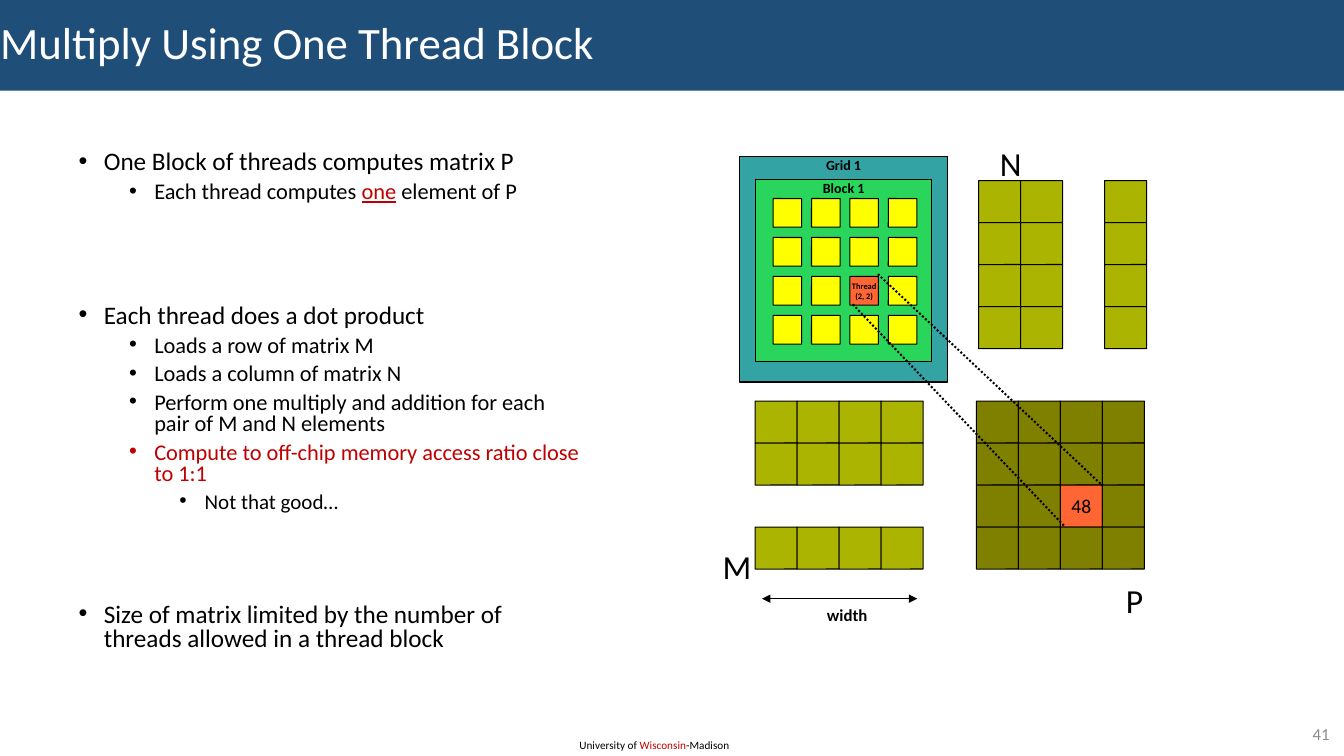
from dataclasses import dataclass

import pptx
import pptx.dml.color
import pptx.enum.dml
import pptx.enum.shapes
import pptx.enum.text
import pptx.oxml
import pptx.oxml.ns
import pptx.util

RGBColor = pptx.dml.color.RGBColor
Align = pptx.enum.text.PP_ALIGN
Anchor = pptx.enum.text.MSO_ANCHOR

BLACK = RGBColor(0x00, 0x00, 0x00)
WHITE = RGBColor(0xFF, 0xFF, 0xFF)
NAVY = RGBColor(0x1F, 0x4E, 0x79)
RED = RGBColor(0xC0, 0x00, 0x00)
GREY = RGBColor(0x8C, 0x8C, 0x8C)
TEAL = RGBColor(0x33, 0xA3, 0xA3)
GREEN = RGBColor(0x23, 0xFF, 0x23)
LIME = RGBColor(0xAB, 0xB4, 0x00)
OLIVE = RGBColor(0x80, 0x80, 0x00)
YELLOW = RGBColor(0xFF, 0xFF, 0x00)
ORANGE = RGBColor(0xFF, 0x66, 0x33)

FONT = "Calibri"
SLIDE_WIDTH = pptx.util.Inches(13.33)
SLIDE_HEIGHT = pptx.util.Inches(7.5)
COLUMN = SLIDE_WIDTH / 160
ROW = SLIDE_HEIGHT / 90
ALL = (0, 1, 2, 3)


@dataclass(frozen=True)
class Box:
    """Left, top, width and height in slide columns and rows."""
    left: float
    top: float
    width: float
    height: float

    def emu(self) -> tuple[int, int, int, int]:
        return (round(self.left * COLUMN), round(self.top * ROW),
                round(self.width * COLUMN), round(self.height * ROW))


@dataclass(frozen=True)
class Span:
    text: str
    size: float
    color: RGBColor = BLACK
    bold: bool = False
    underline: bool = False


@dataclass(frozen=True)
class Bullet:
    level: int
    spans: tuple[Span, ...]
    space_before: float


@dataclass(frozen=True)
class Matrix:
    left: float
    top: float
    fill: RGBColor
    rows: tuple[int, ...] = ALL
    columns: tuple[int, ...] = ALL
    pitch_x: float = 5
    pitch_y: float = 5
    size: float = 5
    marked: tuple[Span, ...] = ()


@dataclass(frozen=True)
class Label:
    box: Box
    spans: tuple[Span, ...]
    align: Align = Align.LEFT
    anchor: Anchor = Anchor.TOP
    inset: float = 0


@dataclass(frozen=True)
class Line:
    start: tuple[float, float]
    end: tuple[float, float]
    width: float
    dotted: bool = False


BULLETS = (
    Bullet(0, (Span("One Block of threads computes matrix P", 18),), 0),
    Bullet(1, (Span("Each thread computes ", 16), Span("one", 16, RED, underline=True),
               Span(" element of P", 16)), 5),
    Bullet(0, (Span("Each thread does a dot product", 18),), 72),
    Bullet(1, (Span("Loads a row of matrix M", 16),), 5),
    Bullet(1, (Span("Loads a column of matrix N", 16),), 5),
    Bullet(1, (Span("Perform one multiply and addition for each pair of M and N elements", 16),), 5),
    Bullet(1, (Span("Compute to off-chip memory access ratio close to 1:1", 16, RED),), 5),
    Bullet(2, (Span("Not that good…", 15),), 5),
    Bullet(0, (Span("Size of matrix limited by the number of threads allowed in a thread block", 18),), 65),
)
MATRICES = (
    Matrix(89.9, 47.75, LIME, rows=(0, 1, 3)),
    Matrix(116.5, 21.5, LIME, columns=(0, 1, 3)),
    Matrix(116.25, 47.75, OLIVE, marked=(Span("48", 14),)),
    Matrix(92.04, 23.64, YELLOW, pitch_x=4.57, pitch_y=4.64, size=3.4,
           marked=(Span("Thread", 6, bold=True), Span("(2, 2)", 6, bold=True))),
)
LINES = (
    Line((101.52, 36.24), (126.72, 62.64), 1.45, dotted=True),
    Line((104.52, 32.64), (131.28, 57.84), 1.45, dotted=True),
    Line((90.72, 71.28), (109.2, 71.28), 0.75),
)
LABELS = (
    Label(Box(67.8, 87.36, 20.64, 2.88),
          (Span("University of ", 8), Span("Wisconsin", 8, RED), Span("-Madison", 8)), inset=0.1),
    Label(Box(150.36, 85.56, 9.12, 3.48), (Span("41", 12, GREY),), Align.RIGHT, Anchor.MIDDLE, 0.1),
    Label(Box(93.96, 72, 13.8, 2.4), (Span("width", 12, bold=True),), Align.CENTER),
    Label(Box(86.04, 65.04, 4.8, 4.8), (Span("M", 24),)),
    Label(Box(134.04, 69, 2.76, 4.8), (Span("P", 24),)),
    Label(Box(119.04, 17.04, 4.2, 4.8), (Span("N", 24),)),
)


def place(shape, box: Box) -> None:
    shape.left, shape.top, shape.width, shape.height = box.emu()


def add_spans(paragraph, spans: tuple[Span, ...]) -> None:
    for span in spans:
        run = paragraph.add_run()
        run.text = span.text
        run.font.name = FONT
        run.font.size = pptx.util.Pt(span.size)
        run.font.bold = span.bold
        run.font.underline = span.underline
        run.font.color.rgb = span.color


def set_frame(frame, anchor: Anchor, side: float = 0, top: float = 0) -> None:
    frame.word_wrap = True
    frame.auto_size = pptx.enum.text.MSO_AUTO_SIZE.NONE
    frame.vertical_anchor = anchor
    frame.margin_left = frame.margin_right = pptx.util.Inches(side)
    frame.margin_top = frame.margin_bottom = pptx.util.Inches(top)


def add_block(slide, box: Box, fill: RGBColor, rounding: float, lines: tuple[Span, ...] = (),
              anchor: Anchor = Anchor.MIDDLE):
    """Add an outlined block with one centred paragraph for each span."""
    shape = slide.shapes.add_shape(pptx.enum.shapes.MSO_SHAPE.ROUNDED_RECTANGLE, *box.emu())
    shape.adjustments[0] = rounding
    shape.shadow.inherit = False
    shape.fill.solid()
    shape.fill.fore_color.rgb = fill
    shape.line.color.rgb = BLACK
    shape.line.width = pptx.util.Pt(0.75)
    set_frame(shape.text_frame, anchor)
    for index, span in enumerate(lines):
        paragraph = shape.text_frame.add_paragraph() if index else shape.text_frame.paragraphs[0]
        paragraph.alignment = Align.CENTER
        add_spans(paragraph, (span,))
    return shape


def add_matrix(slide, matrix: Matrix) -> None:
    """Draw the cells, with the one at (2, 2) highlighted if it has a label."""
    for row in matrix.rows:
        for column in matrix.columns:
            marked = bool(matrix.marked) and (row, column) == (2, 2)
            box = Box(matrix.left + column * matrix.pitch_x, matrix.top + row * matrix.pitch_y,
                      matrix.size, matrix.size)
            add_block(slide, box, ORANGE if marked else matrix.fill, 0.005,
                      matrix.marked if marked else ())


def add_line(slide, line: Line) -> None:
    """Draw a dotted projection line or a double-headed arrow."""
    ends = [round(value * unit) for point in (line.start, line.end)
            for value, unit in zip(point, (COLUMN, ROW))]
    connector = slide.shapes.add_connector(pptx.enum.shapes.MSO_CONNECTOR.STRAIGHT, *ends)
    connector.line.color.rgb = BLACK
    connector.line.width = pptx.util.Pt(line.width)
    properties = connector._element.spPr
    if line.dotted:
        connector.line.dash_style = pptx.enum.dml.MSO_LINE.ROUND_DOT
    else:
        for tag in ("a:headEnd", "a:tailEnd"):
            end = pptx.oxml.parse_xml(f'<{tag} {pptx.oxml.ns.nsdecls("a")} type="triangle"/>')
            properties.find(pptx.oxml.ns.qn("a:ln")).append(end)
    properties.append(pptx.oxml.parse_xml(f'<a:effectLst {pptx.oxml.ns.nsdecls("a")}/>'))


def add_label(slide, label: Label) -> None:
    frame = slide.shapes.add_textbox(*label.box.emu()).text_frame
    set_frame(frame, label.anchor, label.inset, label.inset / 2)
    frame.paragraphs[0].alignment = label.align
    add_spans(frame.paragraphs[0], label.spans)


def fill_title(title) -> None:
    place(title, Box(0, 0, 160, 10.8))
    title.fill.solid()
    title.fill.fore_color.rgb = NAVY
    set_frame(title.text_frame, Anchor.MIDDLE)
    paragraph = title.text_frame.paragraphs[0]
    paragraph.alignment = Align.LEFT
    paragraph.line_spacing = 0.9
    add_spans(paragraph, (Span("Multiply Using One Thread Block", 32, WHITE),))


def fill_body(body) -> None:
    place(body, Box(8.16, 17.4, 62.04, 66))
    set_frame(body.text_frame, Anchor.TOP, 0.1, 0.05)
    for index, bullet in enumerate(BULLETS):
        paragraph = body.text_frame.add_paragraph() if index else body.text_frame.paragraphs[0]
        paragraph.level = bullet.level
        properties = paragraph._p.get_or_add_pPr()
        properties.set("marL", str(pptx.util.Inches(0.25 + 0.5 * bullet.level)))
        properties.set("indent", str(pptx.util.Inches(-0.25)))
        for tag in ('buFont typeface="Arial"', 'buChar char="•"'):
            name, attribute = tag.split(" ")
            properties.append(pptx.oxml.parse_xml(
                f'<a:{name} {pptx.oxml.ns.nsdecls("a")} {attribute}/>'))
        paragraph.line_spacing = 0.8
        paragraph.space_before = pptx.util.Pt(bullet.space_before)
        add_spans(paragraph, bullet.spans)


def main() -> None:
    presentation = pptx.Presentation()
    presentation.slide_width, presentation.slide_height = SLIDE_WIDTH, SLIDE_HEIGHT
    slide = presentation.slides.add_slide(presentation.slide_layouts[1])
    fill_title(slide.shapes.title)
    fill_body(slide.placeholders[1])

    add_block(slide, Box(88, 18.6, 24.84, 26.88), TEAL, 0, (Span("Grid 1", 10, bold=True),), Anchor.TOP)
    block = add_block(slide, Box(90, 21.36, 20.88, 21.72), GREEN, 0,
                      (Span("Block 1", 10, bold=True),), Anchor.TOP)
    block_color = block._element.spPr.find(".//" + pptx.oxml.ns.qn("a:srgbClr"))
    block_color.append(pptx.oxml.parse_xml(f'<a:alpha {pptx.oxml.ns.nsdecls("a")} val="55000"/>'))

    for matrix in MATRICES:
        add_matrix(slide, matrix)
    for line in LINES:
        add_line(slide, line)
    for label in LABELS:
        add_label(slide, label)
    presentation.save("out.pptx")


if __name__ == "__main__":
    main()
